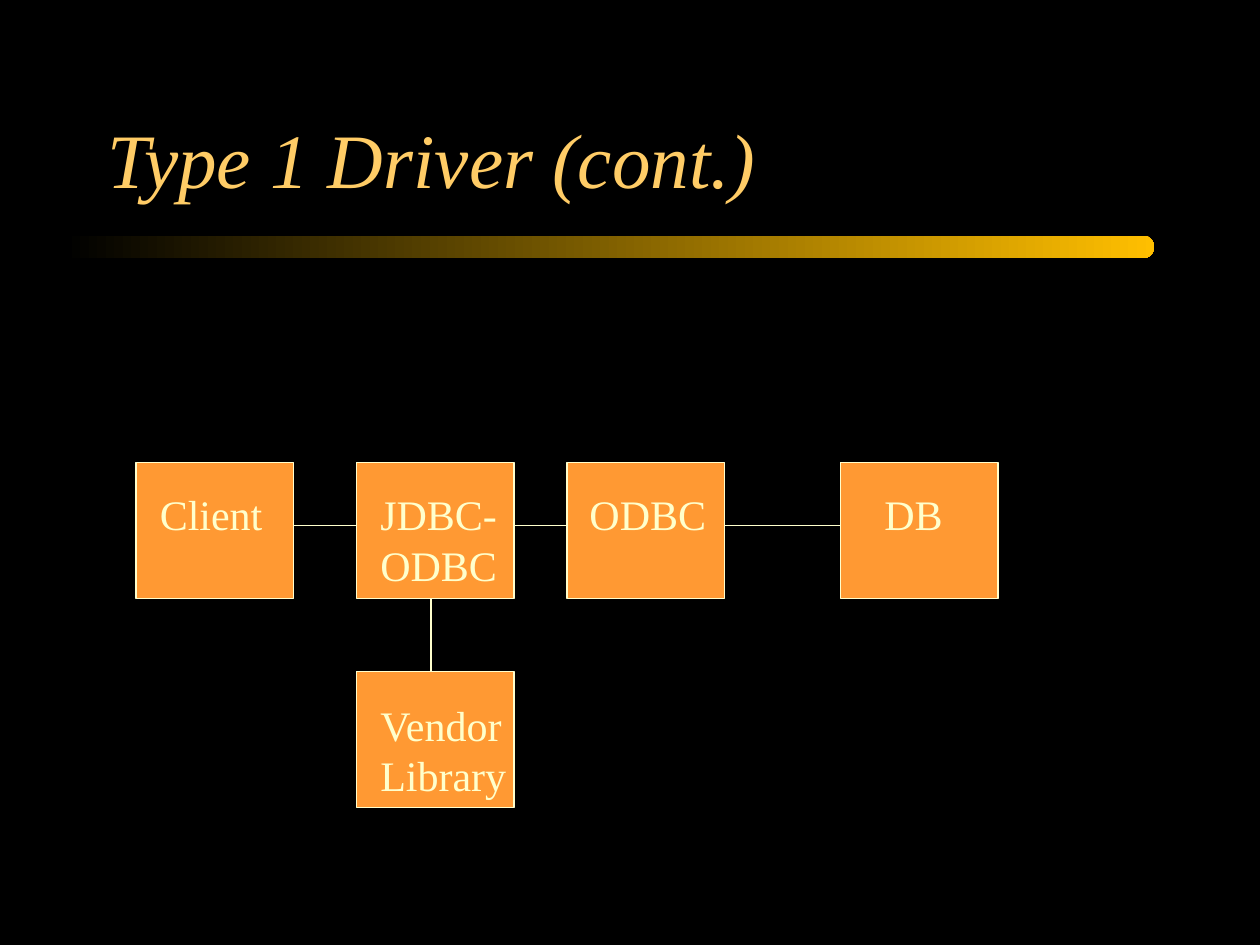
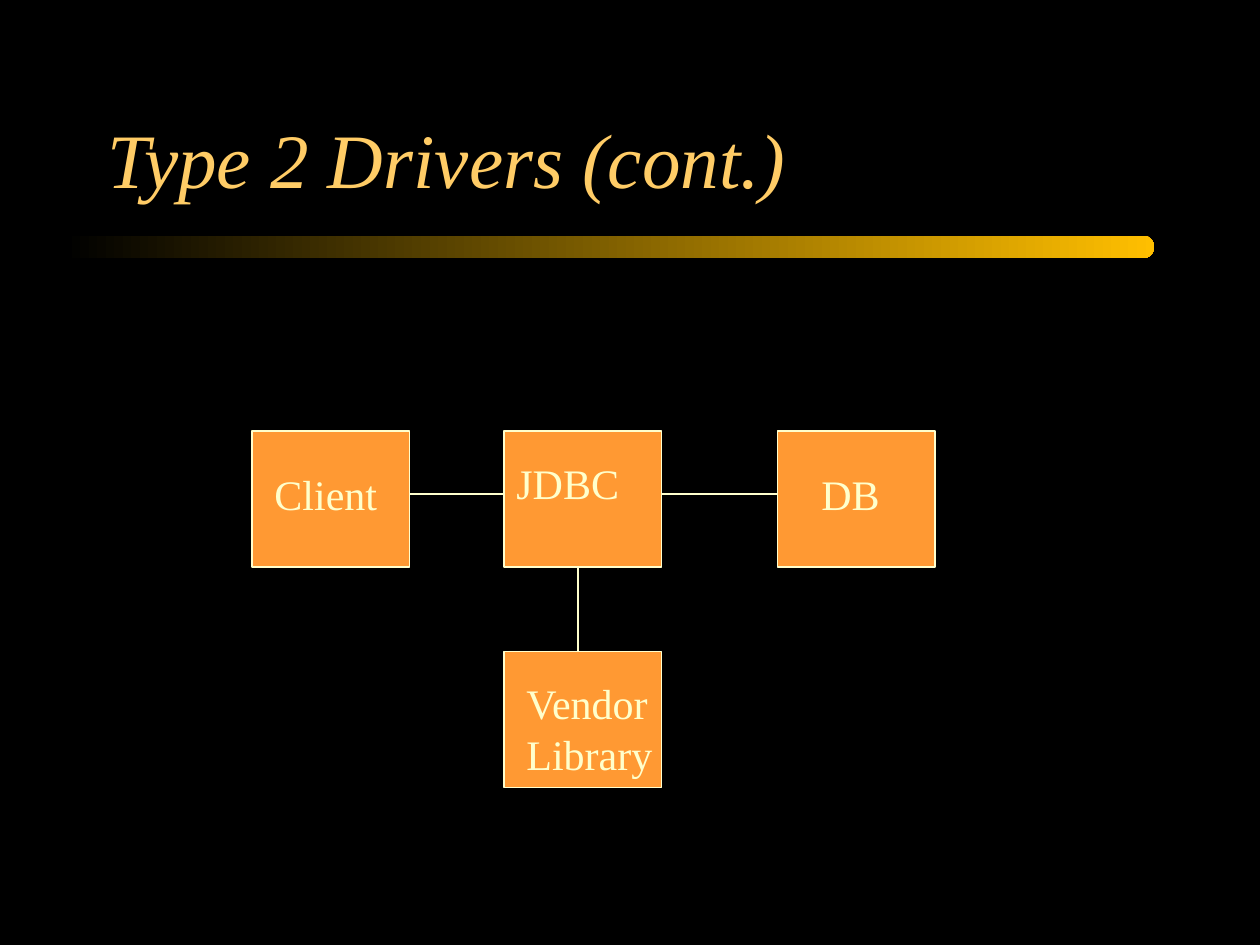
from pptx import Presentation
from pptx.dml.color import RGBColor as RGB
from pptx.enum.shapes import MSO_CONNECTOR as Link, MSO_SHAPE as Shape
from pptx.enum.text import MSO_ANCHOR as Anchor, MSO_AUTO_SIZE as Fit, PP_ALIGN as Align
from pptx.oxml.xmlchemy import OxmlElement as Node
from pptx.util import Inches, Pt

# Shared look
BLACK = RGB(0x00, 0x00, 0x00)
GOLD = RGB(0xFF, 0xBF, 0x00)
AMBER = RGB(0xFF, 0xCC, 0x66)
ORANGE = RGB(0xFF, 0x99, 0x33)
CREAM = RGB(0xFF, 0xFF, 0xCC)
FONT = "Times New Roman"
BOX_W, BOX_H = 1.25, 1.08
MID_X, MID_Y = 0.59, 0.5  # where links meet a box

# Each box: text, left, top, label shift right, label shift down, label width
TYPE_1 = [
    ("Client", 1.08, 3.67, 0.09, 0.16, 1.33),
    ("JDBC-ODBC", 2.83, 3.67, 0.09, 0.16, 1.33),
    ("ODBC", 4.5, 3.67, 0.08, 0.16, 1.33),
    ("DB", 6.67, 3.67, 0.25, 0.16, 0.67),
]
LIB_1 = ("Vendor Library", 2.83, 5.33, 0.09, 0.17, 1.33)

TYPE_2 = [
    ("Client", 2, 3.42, 0.08, 0.25, 1.08),
    ("JDBC", 4, 3.42, 0, 0.16, 1.33),
    ("DB", 6.17, 3.42, 0.25, 0.25, 0.83),
]
LIB_2 = ("Vendor Library", 4, 5.17, 0.08, 0.16, 1.33)


def add_run(para, text, size, color, italic=False):
    run = para.add_run()
    run.text = text
    font = run.font
    font.name, font.size, font.italic = FONT, Pt(size), italic
    font.color.rgb = color


def add_bar(slide):
    bar = slide.shapes.add_shape(Shape.ROUNDED_RECTANGLE, Inches(0.5), Inches(1.87),
                                 Inches(8.66), Inches(0.18))
    bar.adjustments[0] = 0.5
    bar.shadow.inherit = False
    bar.line.fill.background()
    bar.fill.gradient()
    bar.fill.gradient_angle = 0
    for stop, color in zip(bar.fill.gradient_stops, (BLACK, GOLD)):
        stop.color.rgb = color


def set_title(slide, text):
    title = slide.shapes.title
    title.left, title.top = Inches(0.75), Inches(0.42)
    title.width, title.height = Inches(8.5), Inches(1.25)
    frame = title.text_frame
    frame.auto_size = Fit.NONE
    frame.vertical_anchor = Anchor.BOTTOM
    para = frame.paragraphs[0]
    para.alignment = Align.LEFT
    add_run(para, text, 44, AMBER, italic=True)


def add_box(slide, text, left, top, right, down, width):
    box = slide.shapes.add_shape(Shape.RECTANGLE, Inches(left), Inches(top),
                                 Inches(BOX_W), Inches(BOX_H))
    box.shadow.inherit = False
    box.fill.solid()
    box.fill.fore_color.rgb = ORANGE
    box.line.color.rgb = CREAM
    box.line.width = Pt(1)

    # The label sits on its own grid and may reach past the box
    height = 0.9 if len(text) > 6 else 0.5
    label = slide.shapes.add_textbox(Inches(left + right), Inches(top + down),
                                     Inches(width), Inches(height))
    frame = label.text_frame
    frame.word_wrap = True
    frame.auto_size = Fit.SHAPE_TO_FIT_TEXT
    para = frame.paragraphs[0]
    para.space_before = Pt(15)
    add_run(para, text, 24, CREAM)


def add_link(slide, x1, y1, x2, y2):
    link = slide.shapes.add_connector(Link.STRAIGHT, Inches(x1), Inches(y1),
                                      Inches(x2), Inches(y2))
    link.line.color.rgb = CREAM
    link.line.width = Pt(1)
    link._element.spPr.append(Node("a:effectLst"))


def add_slide(deck, title, row, lib):
    slide = deck.slides.add_slide(deck.slide_layouts[5])
    add_bar(slide)
    set_title(slide, title)
    for box in row + [lib]:
        add_box(slide, *box)

    # Links along the row
    for (_, x1, y, *_), (_, x2, *_) in zip(row, row[1:]):
        add_link(slide, x1 + BOX_W, y + MID_Y, x2, y + MID_Y)

    # Link from the second box down to the library
    _, x, y, *_ = row[1]
    add_link(slide, x + MID_X, y + BOX_H, x + MID_X, lib[2])


def main():
    deck = Presentation()
    deck.slide_width, deck.slide_height = Inches(10), Inches(7.5)
    back = deck.slide_master.background.fill
    back.solid()
    back.fore_color.rgb = BLACK
    add_slide(deck, "Type 1 Driver (cont.)", TYPE_1, LIB_1)
    add_slide(deck, "Type 2 Drivers (cont.)", TYPE_2, LIB_2)
    deck.save("out.pptx")


if __name__ == "__main__":
    main()
